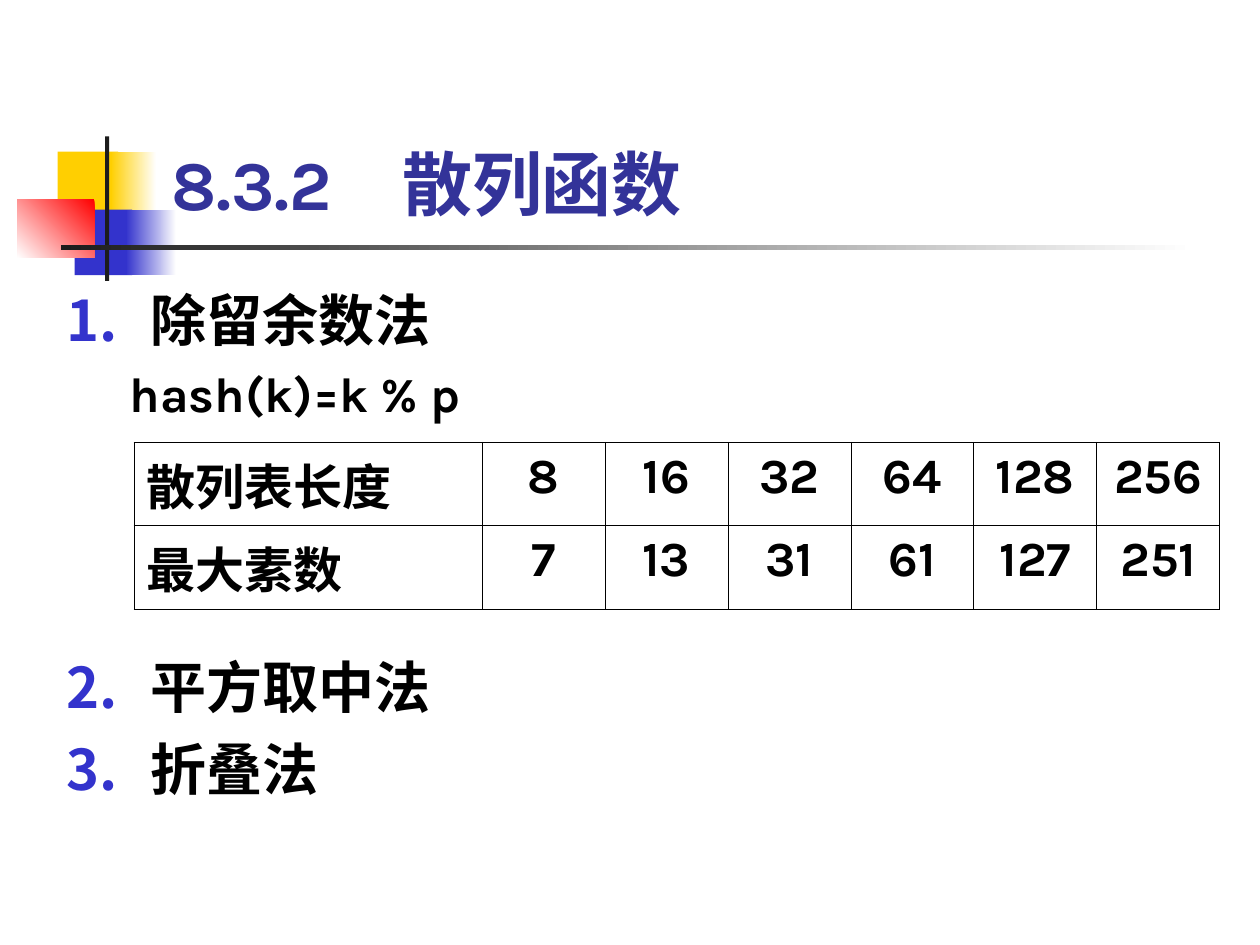
from pptx import Presentation
from pptx.dml.color import RGBColor
from pptx.enum.shapes import MSO_SHAPE
from pptx.enum.text import MSO_ANCHOR, PP_ALIGN
from pptx.oxml.ns import qn
from pptx.util import Pt
from lxml import etree

FONT = "Karla"
BLACK = RGBColor(0x00, 0x00, 0x00)
WHITE = RGBColor(0xFF, 0xFF, 0xFF)
YELLOW = RGBColor(0xFF, 0xCF, 0x01)
BLUE = RGBColor(0x33, 0x33, 0xCC)
RED = RGBColor(0xFF, 0x00, 0x00)
CHARCOAL = RGBColor(0x1C, 0x1C, 0x1C)
TITLE_BLUE = RGBColor(0x33, 0x33, 0x99)
RECTANGLE = MSO_SHAPE.RECTANGLE
BOTTOM = MSO_ANCHOR.BOTTOM
LEFT, CENTER = PP_ALIGN.LEFT, PP_ALIGN.CENTER

PRIME_ROWS = [
    ["散列表长度", "8", "16", "32", "64", "128", "256"],
    ["最大素数", "7", "13", "31", "61", "127", "251"],
]


def write(paragraph, text, size, color=BLACK, align=LEFT, line=None, before=0):
    paragraph.text = text
    paragraph.alignment = align
    paragraph.space_before = Pt(before)
    if line:
        paragraph.line_spacing = Pt(line)
    font = paragraph.font
    font.name, font.size, font.bold = FONT, Pt(size), True
    font.color.rgb = color


def number_item(paragraph, start):
    properties = paragraph._p.get_or_add_pPr()
    properties.set("marL", str(Pt(48)))
    properties.set("indent", str(Pt(-48)))
    bullet_color = etree.SubElement(properties, qn("a:buClr"))
    etree.SubElement(bullet_color, qn("a:srgbClr"), val=str(BLUE))
    etree.SubElement(properties, qn("a:buFont"), typeface=FONT)
    etree.SubElement(properties, qn("a:buAutoNum"), type="arabicPeriod",
                     startAt=str(start))


def add_text_frame(slide, left, top, width, height):
    frame = slide.shapes.add_textbox(Pt(left), Pt(top), Pt(width), Pt(height)).text_frame
    frame.word_wrap = True
    return frame


def add_block(slide, left, top, width, height, color, end_color=None, angle=0):
    """Add a borderless rectangle, fading to end_color when one is given."""
    block = slide.shapes.add_shape(RECTANGLE, Pt(left), Pt(top), Pt(width), Pt(height))
    block.shadow.inherit = False
    block.line.fill.background()
    if end_color is None:
        block.fill.solid()
        block.fill.fore_color.rgb = color
        return
    block.fill.gradient()
    block.fill.gradient_angle = angle
    for stop, position, shade in zip(block.fill.gradient_stops, (0, 1), (color, end_color)):
        stop.position = position
        stop.color.rgb = shade


def add_ornament(slide, left, top):
    add_block(slide, left + 23, top + 8.6, 34.5, 37.4, YELLOW)
    add_block(slide, left + 53.3, top + 8.6, 26, 37.4, WHITE, YELLOW, 180)
    add_block(slide, left + 32.6, top + 41.8, 33, 37.4, BLUE)
    add_block(slide, left + 62, top + 41.8, 28.8, 37.4, WHITE, BLUE, 180)
    add_block(slide, left, top + 36, 44, 33.4, RED, WHITE, 225)
    add_block(slide, left + 50, top, 2.4, 82.6, CHARCOAL)
    add_block(slide, left + 24.8, top + 62.2, 648, 2.5, WHITE, CHARCOAL, 180)


def add_title(slide, left, top, width, height):
    frame = add_text_frame(slide, left, top, width, height)
    frame.vertical_anchor = BOTTOM
    write(frame.paragraphs[0], "8.3.2　散列函数", 40, TITLE_BLUE)


def add_methods(slide, left, top, width, height, methods, start, formula=None):
    """List numbered methods from start, with an optional formula below them."""
    frame = add_text_frame(slide, left, top, width, height)
    for index, method in enumerate(methods):
        item = frame.add_paragraph() if index else frame.paragraphs[0]
        number_item(item, start)
        write(item, method, 32, line=42, before=4.3 if index else 0)
    if formula:
        line = frame.add_paragraph()
        line._p.get_or_add_pPr().set("marL", str(Pt(36)))
        write(line, formula, 28, line=35, before=4.3)


def add_cell_borders(cell):
    properties = cell._tc.get_or_add_tcPr()
    for index, side in enumerate(("a:lnL", "a:lnR", "a:lnT", "a:lnB")):
        border = etree.Element(qn(side), w=str(Pt(0.45)))
        fill = etree.SubElement(border, qn("a:solidFill"))
        etree.SubElement(fill, qn("a:srgbClr"), val=str(BLACK))
        properties.insert(index, border)


def add_prime_table(slide, left, top, width, height):
    row_count, column_count = len(PRIME_ROWS), len(PRIME_ROWS[0])
    table = slide.shapes.add_table(row_count, column_count, Pt(left), Pt(top),
                                   Pt(width), Pt(height)).table
    table.first_row = table.horz_banding = False
    label_width = 199
    value_width = (width - label_width) / (column_count - 1)
    for index, column in enumerate(table.columns):
        column.width = Pt(value_width if index else label_width)
    for row, values in zip(table.rows, PRIME_ROWS):
        row.height = Pt(height / row_count)
        for index, (cell, value) in enumerate(zip(row.cells, values)):
            cell.fill.background()
            add_cell_borders(cell)
            write(cell.text_frame.paragraphs[0], value, 28,
                  align=CENTER if index else LEFT)


def main():
    presentation = Presentation()
    presentation.slide_width, presentation.slide_height = Pt(720), Pt(540)
    slide = presentation.slides.add_slide(presentation.slide_layouts[6])
    add_ornament(slide, 10, 78)
    add_title(slide, 90.7, 65.5, 613.4, 66.2)
    add_methods(slide, 31, 156.2, 674.6, 90, ["除留余数法"], 1, "hash(k)=k % p")
    add_prime_table(slide, 76.5, 252.7, 620.6, 95.4)
    add_methods(slide, 31, 366, 674.6, 147, ["平方取中法", "折叠法"], 2)
    presentation.save("out.pptx")


if __name__ == "__main__":
    main()
